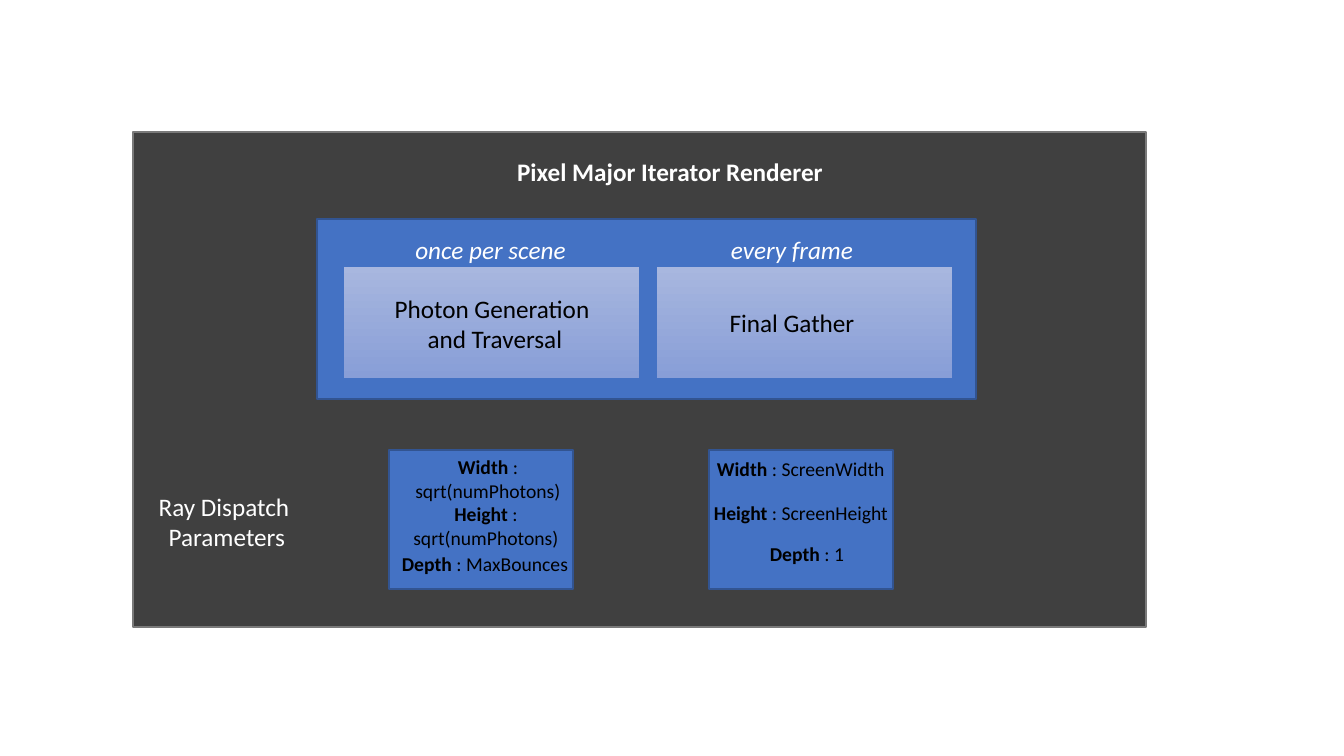
from pptx import Presentation
from pptx import util as u
from pptx.dml.color import RGBColor
from pptx.enum import shapes, text

WHITE = RGBColor(0xFF, 0xFF, 0xFF)
BLACK = RGBColor(0x00, 0x00, 0x00)
CHARCOAL = RGBColor(0x40, 0x40, 0x40)
GREY = RGBColor(0x7A, 0x7A, 0x7A)
BLUE = RGBColor(0x44, 0x72, 0xC4)
NAVY = RGBColor(0x32, 0x54, 0x91)
PALE = RGBColor(0xA8, 0xB7, 0xDF)
PERIWINKLE = RGBColor(0x88, 0x9E, 0xD7)

CENTER, LEFT = text.PP_ALIGN.CENTER, text.PP_ALIGN.LEFT

TITLE = ("Pixel Major Iterator Renderer", (507, 151, 329, 40))
PANEL = (133, 132, 1013, 495)
PIPELINE = (317, 219, 659, 180)
STAGE_LEFTS, STAGE_TOP, STAGE_SIZE = (343, 656), 266, (296, 112)
CARD_LEFTS, CARD_TOP, CARD_SIZE = (389, 709), 450, (184, 139)

LABELS = [
    ("Photon Generation\v and Traversal", (383, 288, 218, 72), BLACK, False),
    ("Final Gather", (719, 302, 146, 40), BLACK, False),
    ("Ray Dispatch\v Parameters", (148, 486, 152, 72), WHITE, False),
    ("once per scene", (402, 229, 177, 40), WHITE, True),
    ("every frame", (720, 229, 144, 40), WHITE, True),
]
PARAMETERS = [
    ("Width", "sqrt(numPhotons)", (394, 450, 188, 57), CENTER),
    ("Height", "sqrt(numPhotons)", (392, 497, 188, 57), CENTER),
    ("Depth", "MaxBounces", (391, 547, 188, 34), CENTER),
    ("Width", "ScreenWidth", (707, 452, 188, 34), LEFT),
    ("Height", "ScreenHeight", (704, 496, 203, 34), LEFT),
    ("Depth", "1", (713, 537, 188, 34), CENTER),
]

SCALE = u.Inches(1) / 100.8


def emu(*pixels):
    return [round(pixel * SCALE) for pixel in pixels]


def apply(target, **values):
    for name, value in values.items():
        setattr(target, name, value)


def add_rect(place, fills, line, width=1):
    box = page.shapes.add_shape(shapes.MSO_SHAPE.RECTANGLE, *emu(*place))
    box.shadow.inherit = False
    box.line.color.rgb, box.line.width = line, u.Pt(width)
    if len(fills) > 1:
        box.fill.gradient()
        box.fill.gradient_angle = 270
        for stop, color in zip(box.fill.gradient_stops, fills):
            stop.color.rgb = color
    else:
        box.fill.solid()
        box.fill.fore_color.rgb = fills[0]


def write(box, spans, size, color, align=CENTER, wrap=False):
    frame = box.text_frame
    apply(frame, word_wrap=wrap, auto_size=text.MSO_AUTO_SIZE.NONE,
          vertical_anchor=text.MSO_ANCHOR.TOP)
    para = frame.paragraphs[0]
    para.alignment = align
    for words, style in spans:
        for index, part in enumerate(words.split("\v")):
            if index:
                para.add_line_break()
            span = para.add_run()
            span.text = part
            apply(span.font, name="Calibri", size=u.Pt(size), **style)
            span.font.color.rgb = color


deck = Presentation()
deck.slide_width, deck.slide_height = emu(1344, 756)
page = deck.slides.add_slide(deck.slide_layouts[5])

add_rect(PANEL, [CHARCOAL], GREY)
add_rect(PIPELINE, [BLUE], NAVY)
for left in STAGE_LEFTS:
    add_rect((left, STAGE_TOP, *STAGE_SIZE), [PALE, PERIWINKLE], BLUE, 0.5)
for left in CARD_LEFTS:
    add_rect((left, CARD_TOP, *CARD_SIZE), [BLUE], NAVY)

for words, place, color, italic in LABELS:
    write(page.shapes.add_textbox(*emu(*place)), [(words, {"italic": italic})], 18, color)
for name, value, place, align in PARAMETERS:
    spans = [(name, {"bold": True}), (f" : {value}", {"bold": False})]
    write(page.shapes.add_textbox(*emu(*place)), spans, 14, BLACK, align, True)

title = page.shapes.title
words, place = TITLE
apply(title, **dict(zip(("left", "top", "width", "height"), emu(*place))))
write(title, [(words, {"bold": True})], 18, WHITE, LEFT)
page.shapes._spTree.append(title._element)

deck.save("out.pptx")
